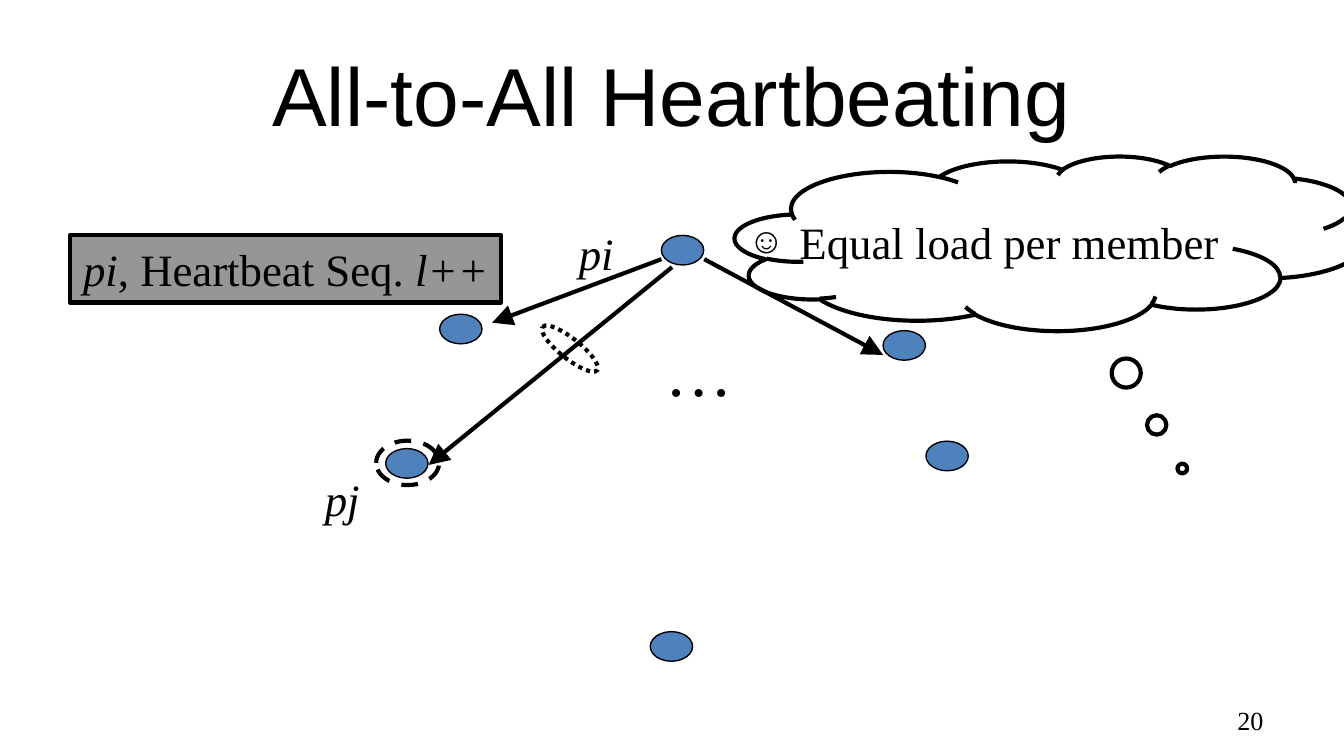
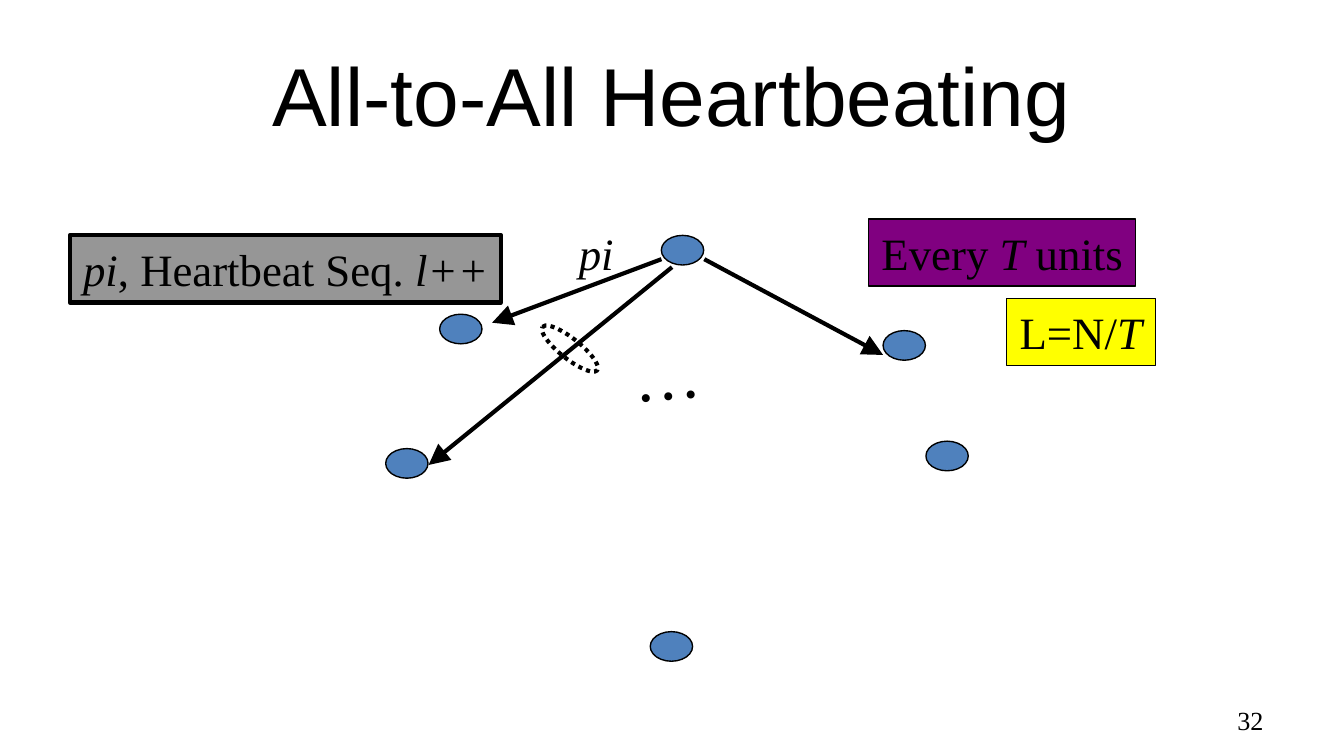
from typing import NamedTuple

from lxml.etree import SubElement
from pptx import Presentation
from pptx.dml.color import RGBColor
from pptx.enum.dml import MSO_LINE
from pptx.enum.shapes import MSO_CONNECTOR, MSO_SHAPE
from pptx.enum.text import MSO_ANCHOR, MSO_AUTO_SIZE, PP_ALIGN
from pptx.oxml.ns import qn
from pptx.util import Cm, Pt

BLACK, BLUE, GREY = "000000", "4F81BD", "969696"
PURPLE, YELLOW = "800080", "FFFF00"
THIN, THICK = 0.75, 2.25
BODY = {"name": "Times New Roman", "size": Pt(24)}
DOTS = {"name": "Times New Roman", "size": Pt(36)}
NUMBER = {"name": "Times New Roman", "size": Pt(14)}
TITLE = {"name": "Arial", "size": Pt(44)}
# No right margin: the labels fill their boxes almost exactly.
LABEL = {"word_wrap": True, "auto_size": MSO_AUTO_SIZE.NONE, "margin_right": Cm(0)}
WRAPPED = {"word_wrap": True}
CENTRED = {"word_wrap": True, "vertical_anchor": MSO_ANCHOR.MIDDLE}


class Box(NamedTuple):
    """A rectangle in centimetres."""
    left: float
    top: float
    width: float
    height: float

    def inside(self, left, top, width, height):
        """Return a box whose corner is measured from this one."""
        return Box(self.left + left, self.top + top, width, height)

    def lengths(self):
        return [Cm(value) for value in self]


TITLE_BOX = Box(1.27, 0.58, 22.86, 2.39)
NUMBER_BOX = Box(18.21, 13.23, 5.92, 0.76)
DIAGRAM_BOX = Box(1.32, 4.14, 17.0, 8.4)
CLOUD_BOX = Box(13.89, 2.95, 11.91, 3.3)

NODE_SIZE = (0.8, 0.56)
SENDER, WATCHED = (11.18, 0.31), (5.97, 4.34)
RECEIVERS = [(15.37, 2.11), (6.99, 1.8), (16.18, 4.2), (10.97, 7.8)]
HEARTBEATS = [((11.38, 0.91), (6.78, 4.65)),
              ((11.18, 0.76), (7.98, 1.96)),
              ((11.99, 0.76), (15.37, 2.57))]


def color(value):
    return RGBColor.from_string(value)


def apply_format(target, values):
    for name, value in values.items():
        setattr(target, name, value)


def paint(shape, fill=None, width=None, dash=None):
    """Set fill and black outline; None leaves either one out."""
    if fill:
        shape.fill.solid()
        shape.fill.fore_color.rgb = color(fill)
    else:
        shape.fill.background()
    if width:
        shape.line.color.rgb = color(BLACK)
        apply_format(shape.line, {"width": Pt(width), "dash_style": dash})
    else:
        shape.line.fill.background()


def add_outline(slide, kind, box, fill=None, width=THICK, dash=None):
    shape = slide.shapes.add_shape(kind, *box.lengths())
    shape.shadow.inherit = False
    paint(shape, fill, width, dash)
    return shape


def add_text(slide, box, text, font=BODY, frame=LABEL, align=PP_ALIGN.LEFT,
             fill=None, width=None, bullet=None):
    """Add a text box; parts of the text between asterisks are italic."""
    shape = slide.shapes.add_textbox(*box.lengths())
    paint(shape, fill, width)
    apply_format(shape.text_frame, frame)
    paragraph = shape.text_frame.paragraphs[0]
    paragraph.alignment = align
    if bullet:
        add_bullet(paragraph, bullet)
    for index, part in enumerate(text.split("*")):
        if part:
            run = paragraph.add_run()
            run.text = part
            apply_format(run.font, {**font, "italic": index % 2 == 1})
            run.font.color.rgb = color(BLACK)
    return shape


def add_bullet(paragraph, character):
    properties = paragraph._p.get_or_add_pPr()
    indent = Cm(0.97)
    properties.set("marL", str(indent))
    properties.set("indent", str(-indent))
    SubElement(properties, qn("a:buSzPct"), val="80000")
    SubElement(properties, qn("a:buFont"), typeface=BODY["name"])
    SubElement(properties, qn("a:buChar"), char=character)


def add_arrow(slide, start, end):
    points = [Cm(value) for value in (*start, *end)]
    connector = slide.shapes.add_connector(MSO_CONNECTOR.STRAIGHT, *points)
    connector.line.color.rgb = color(BLACK)
    connector.line.width = Pt(THICK)
    SubElement(connector.line._get_or_add_ln(), qn("a:tailEnd"),
               type="triangle", w="lg", len="lg")
    SubElement(connector._element.spPr, qn("a:effectLst"))


def add_base_slide(presentation, number):
    """Add a slide with the shared title and its page number."""
    slide = presentation.slides.add_slide(presentation.slide_layouts[6])
    add_text(slide, NUMBER_BOX, number, NUMBER, CENTRED, PP_ALIGN.RIGHT)
    add_text(slide, TITLE_BOX, "All-to-All Heartbeating", TITLE, CENTRED,
             PP_ALIGN.CENTER)
    return slide


def draw_heartbeats(slide, box, dots_at, dots_rotation=0):
    """Draw the members, the heartbeats sent by pi and the message."""
    for position in [SENDER, WATCHED, *RECEIVERS]:
        add_outline(slide, MSO_SHAPE.OVAL, box.inside(*position, *NODE_SIZE),
                    BLUE, THIN)
    for ends in HEARTBEATS:
        add_arrow(slide, *[box.inside(*end, 0, 0)[:2] for end in ends])
    bundle = add_outline(slide, MSO_SHAPE.OVAL, box.inside(8.79, 2.26, 1.32, 0.38),
                         dash=MSO_LINE.ROUND_DOT)
    bundle.rotation = 38.5
    add_text(slide, box.inside(0, 0.31, 8.15, 1.27),
             "*pi*, Heartbeat Seq. *l++*", fill=GREY, width=THICK)
    dots = add_text(slide, box.inside(*dots_at, 1.78, 1.78), "…", DOTS)
    dots.rotation = dots_rotation
    add_text(slide, box.inside(9.37, 0, 1.17, 1.27), "*pi*")


def draw_watched_member(slide, box):
    add_text(slide, box.inside(4.57, 4.65, 1.17, 1.27), "*pj*")
    add_outline(slide, MSO_SHAPE.OVAL, box.inside(5.79, 4.19, 1.19, 0.84),
                dash=MSO_LINE.DASH)


def draw_cloud(slide, box):
    cloud = add_outline(slide, MSO_SHAPE.CLOUD_CALLOUT, box)
    cloud.adjustments[0], cloud.adjustments[1] = 0.21, 1.29
    add_text(slide, box.inside(0, 0.99, 11.46, 2.29), "Equal load per member",
             frame=WRAPPED, bullet="☺")


def draw_load_labels(slide, box):
    add_text(slide, box.inside(15.09, 0, 5.05, 1.27), "Every *T* units",
             fill=PURPLE, width=THIN)
    add_text(slide, box.inside(17.7, 1.5, 2.82, 1.27), "L=N/*T*",
             fill=YELLOW, width=THIN)


def main():
    presentation = Presentation()
    presentation.slide_width, presentation.slide_height = Cm(25.4), Cm(14.29)

    slide = add_base_slide(presentation, "20")
    draw_heartbeats(slide, DIAGRAM_BOX, (11, 1.96))
    draw_cloud(slide, CLOUD_BOX)
    draw_watched_member(slide, DIAGRAM_BOX)

    slide = add_base_slide(presentation, "32")
    draw_heartbeats(slide, DIAGRAM_BOX, (10.39, 2.03), -4.6)
    draw_load_labels(slide, DIAGRAM_BOX)

    presentation.save("out.pptx")


if __name__ == "__main__":
    main()
